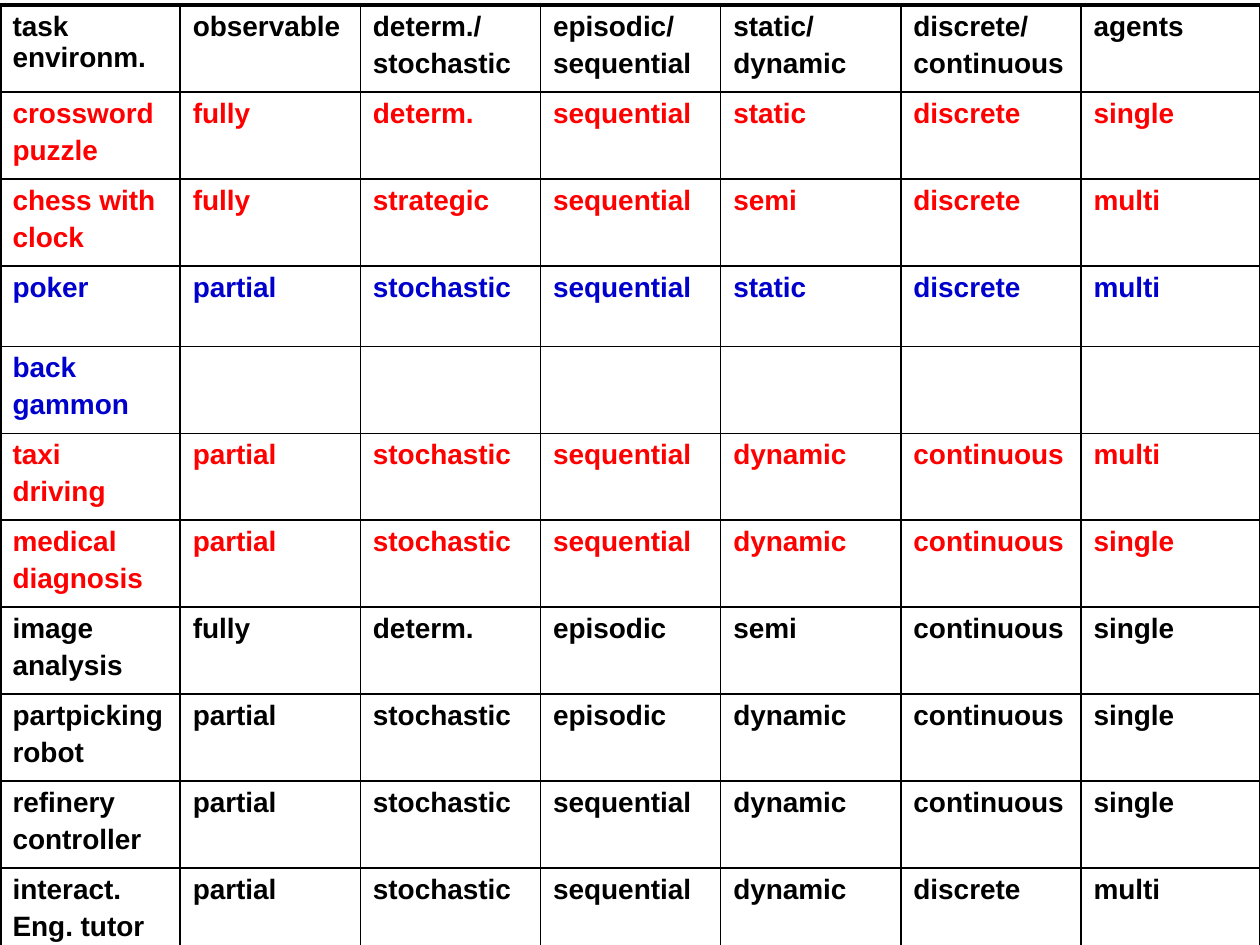
"""Build a slide that compares task environments by their properties."""
from lxml.etree import SubElement
from pptx import Presentation
from pptx.dml.color import RGBColor
from pptx.oxml.ns import qn
from pptx.util import Inches, Pt

BLACK, RED, BLUE = "000000", "FF0000", "0000CC"
THIN, THICK = 0.96, 2.21
COLUMN_WIDTH, ROW_HEIGHT, POKER_HEIGHT = 1.43, 0.69, 0.64

ENVIRONMENTS = [
    (BLACK, ["task environm.", "observable", "determ./\nstochastic", "episodic/\nsequential",
             "static/\ndynamic", "discrete/\ncontinuous", "agents"]),
    (RED, ["crossword\npuzzle", "fully", "determ.", "sequential", "static", "discrete", "single"]),
    (RED, ["chess with\nclock", "fully", "strategic", "sequential", "semi", "discrete", "multi"]),
    (BLUE, ["poker", "partial", "stochastic", "sequential", "static", "discrete", "multi"]),
    (BLUE, ["back\ngammon", "", "", "", "", "", ""]),
    (RED, ["taxi\ndriving", "partial", "stochastic", "sequential", "dynamic", "continuous", "multi"]),
    (RED, ["medical\ndiagnosis", "partial", "stochastic", "sequential", "dynamic", "continuous", "single"]),
    (BLACK, ["image\nanalysis", "fully", "determ.", "episodic", "semi", "continuous", "single"]),
    (BLACK, ["partpicking\nrobot", "partial", "stochastic", "episodic", "dynamic", "continuous", "single"]),
    (BLACK, ["refinery\ncontroller", "partial", "stochastic", "sequential", "dynamic", "continuous", "single"]),
    (BLACK, ["interact.\nEng. tutor", "partial", "stochastic", "sequential", "dynamic", "discrete", "multi"]),
]


def rgb(color):
    return RGBColor.from_string(color)


def add_border(cell, side, weight):
    properties = cell._tc.get_or_add_tcPr()
    border = SubElement(properties, qn(f"a:ln{side}"), w=str(int(Pt(weight))))
    SubElement(SubElement(border, qn("a:solidFill")), qn("a:srgbClr"), val=BLACK)


def write_cell(cell, text, color):
    for index, line in enumerate(text.split("\n")):
        frame = cell.text_frame
        paragraph = frame.add_paragraph() if index else frame.paragraphs[0]
        paragraph.space_before = Pt(3.2)
        if not line:
            continue
        run = paragraph.add_run()
        run.text = line
        run.font.name = "Arial"
        run.font.size = Pt(16)
        run.font.bold = True
        run.font.color.rgb = rgb(color)


def add_environment_table(slide):
    row_count, column_count = len(ENVIRONMENTS), len(ENVIRONMENTS[0][1])
    table = slide.shapes.add_table(row_count, column_count, Inches(0), Inches(0.04),
                                   Inches(10), Inches(7.5)).table
    table.first_row = table.horz_banding = False
    for column in table.columns:
        column.width = Inches(COLUMN_WIDTH)
    for row_index, (color, entries) in enumerate(ENVIRONMENTS):
        height = POKER_HEIGHT if entries[0] == "poker" else ROW_HEIGHT
        table.rows[row_index].height = Inches(height)
        for column_index, text in enumerate(entries):
            cell = table.cell(row_index, column_index)
            outer_edges = {"L": column_index == 0, "R": column_index == column_count - 1,
                           "T": row_index == 0, "B": row_index == row_count - 1}
            for side, is_outer in outer_edges.items():
                add_border(cell, side, THICK if is_outer else THIN)
            cell.fill.background()
            write_cell(cell, text, color)


def main():
    deck = Presentation()
    deck.slide_width, deck.slide_height = Inches(10), Inches(7.5)
    slide = deck.slides.add_slide(deck.slide_layouts[6])
    add_environment_table(slide)
    deck.save("out.pptx")


main()
